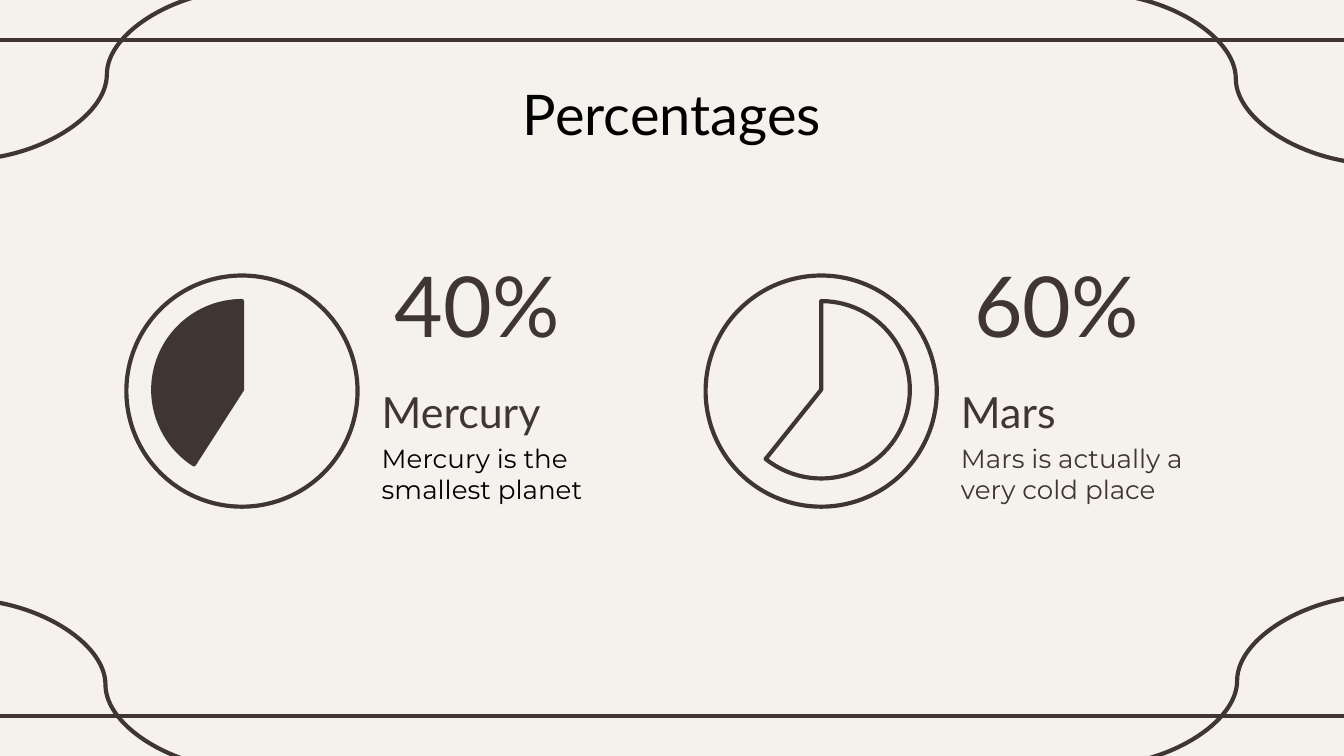
import pptx
import pptx.dml.color
import pptx.enum.shapes
import pptx.enum.text
import pptx.util
from dataclasses import dataclass
from lxml import etree

Inch = pptx.util.Inches
SHAPE = pptx.enum.shapes.MSO_SHAPE
LINK = pptx.enum.shapes.MSO_CONNECTOR
ALIGN = pptx.enum.text.PP_ALIGN
ANCHOR = pptx.enum.text.MSO_ANCHOR

WIDE = 10
HIGH = WIDE * 9 / 16
LEFT, PITCH = 0.94, 4.31   # first column and step between columns
TOP = 2.05                 # top of the rings
RING, PIE = 1.72, 1.32     # diameters
TEXT = 1.9                 # text offset inside a column


@dataclass(frozen=True)
class Theme:
    paper: str = "F5F2EE"
    ink: str = "3F3533"
    black: str = "000000"
    head: str = "Lato"
    body: str = "Montserrat"
    title: int = 30
    big: int = 45
    name: int = 23
    note: int = 14
    stroke: float = 2.25


THEME = Theme()


def rgb(code):
    return pptx.dml.color.RGBColor.from_string(code)


def put(item, **values):
    for key, value in values.items():
        setattr(item, key, value)


def style(font, face, size, color):
    put(font, name=face, size=pptx.util.Pt(size))
    font.color.rgb = rgb(color)


def stroke(line):
    line.color.rgb = rgb(THEME.ink)
    line.width = pptx.util.Pt(THEME.stroke)


def inset(frame, left, top, right, low):
    put(frame, margin_left=Inch(left), margin_top=Inch(top),
        margin_right=Inch(right), margin_bottom=Inch(low))


def link(slide, kind, start, end):
    line = slide.shapes.add_connector(kind, *map(Inch, start + end))
    stroke(line.line)
    etree.SubElement(line.element.spPr, pptx.oxml.ns.qn("a:effectLst"))


def frame(slide):
    """Draw the two rules and the four corner curves."""
    for y in (0.3, 5.33):
        link(slide, LINK.STRAIGHT, (-0.08, y), (WIDE + 0.08, y))
    run, drop = 2.11, 1.27
    for x, y, way in ((-0.27, 4.46, 1), (8.14, -0.05, 1),
                      (10.26, 4.43, -1), (1.85, -0.08, -1)):
        link(slide, LINK.CURVE, (x, y), (x + way * run, y + drop))


def title(slide, words):
    box = slide.shapes.title
    put(box, left=Inch(0.78), top=Inch(0.49),
        width=Inch(WIDE - 1.56), height=Inch(0.63))
    text = box.text_frame
    put(text, text=words, word_wrap=True, vertical_anchor=ANCHOR.TOP,
        auto_size=pptx.enum.text.MSO_AUTO_SIZE.NONE)
    inset(text, 0.1, 0.1, 0.1, 0.1)
    line = text.paragraphs[0]
    line.alignment = ALIGN.CENTER
    style(line.font, THEME.head, THEME.title, THEME.black)


def label(slide, place, words, face, size, color, pad=0):
    """Add a text box; pad is its left and top inset."""
    text = slide.shapes.add_textbox(*map(Inch, place)).text_frame
    put(text, text=words, word_wrap=True, vertical_anchor=ANCHOR.MIDDLE)
    inset(text, pad, pad, 0.1, 0.1)
    style(text.paragraphs[0].font, face, size, color)


def disc(group, kind, x, y, size, fill=None):
    shape = group.shapes.add_shape(kind, *map(Inch, (x, y, size, size)))
    shape.shadow.inherit = False
    stroke(shape.line)
    if fill:
        shape.fill.solid()
        shape.fill.fore_color.rgb = rgb(fill)
    else:
        shape.fill.background()
    return shape


def dial(slide, x, angle, fill, flip):
    """Draw a ring and a pie running clockwise from angle to 12 o'clock."""
    group = slide.shapes.add_group_shape()
    disc(group, SHAPE.OVAL, x, TOP, RING)
    gap = (RING - PIE) / 2
    pie = disc(group, SHAPE.PIE, x + gap, TOP + gap - 0.01, PIE, fill)
    for i, turn in enumerate((angle, 270)):
        pie.adjustments[i] = turn * 0.6   # 60000 units a degree, over 100000
    if flip:
        pie.element.spPr.xfrm.set("flipH", "1")


def main():
    deck = pptx.Presentation()
    put(deck, slide_width=Inch(WIDE), slide_height=Inch(HIGH))
    slide = deck.slides.add_slide(deck.slide_layouts[5])
    slide.background.fill.solid()
    slide.background.fill.fore_color.rgb = rgb(THEME.paper)
    frame(slide)
    title(slide, "Percentages")
    stats = (
        ("40%", "Mercury", "Mercury is the smallest planet",
         THEME.black, 122.75, THEME.ink, False),
        ("60%", "Mars", "Mars is actually a very cold place",
         THEME.ink, 51.27, None, True),
    )
    for i, (share, name, note, color, angle, fill, flip) in enumerate(stats):
        x = LEFT + i * PITCH
        dial(slide, x, angle, fill, flip)
        x += TEXT
        label(slide, (x, 1.8, 1.58, 0.93), share,
              THEME.head, THEME.big, THEME.ink, 0.1)
        label(slide, (x, 2.92, 1.92, 0.38), name,
              THEME.head, THEME.name, THEME.ink)
        label(slide, (x, 3.32, 1.92, 0.51), note,
              THEME.body, THEME.note, color)
    deck.save("out.pptx")


if __name__ == "__main__":
    main()
